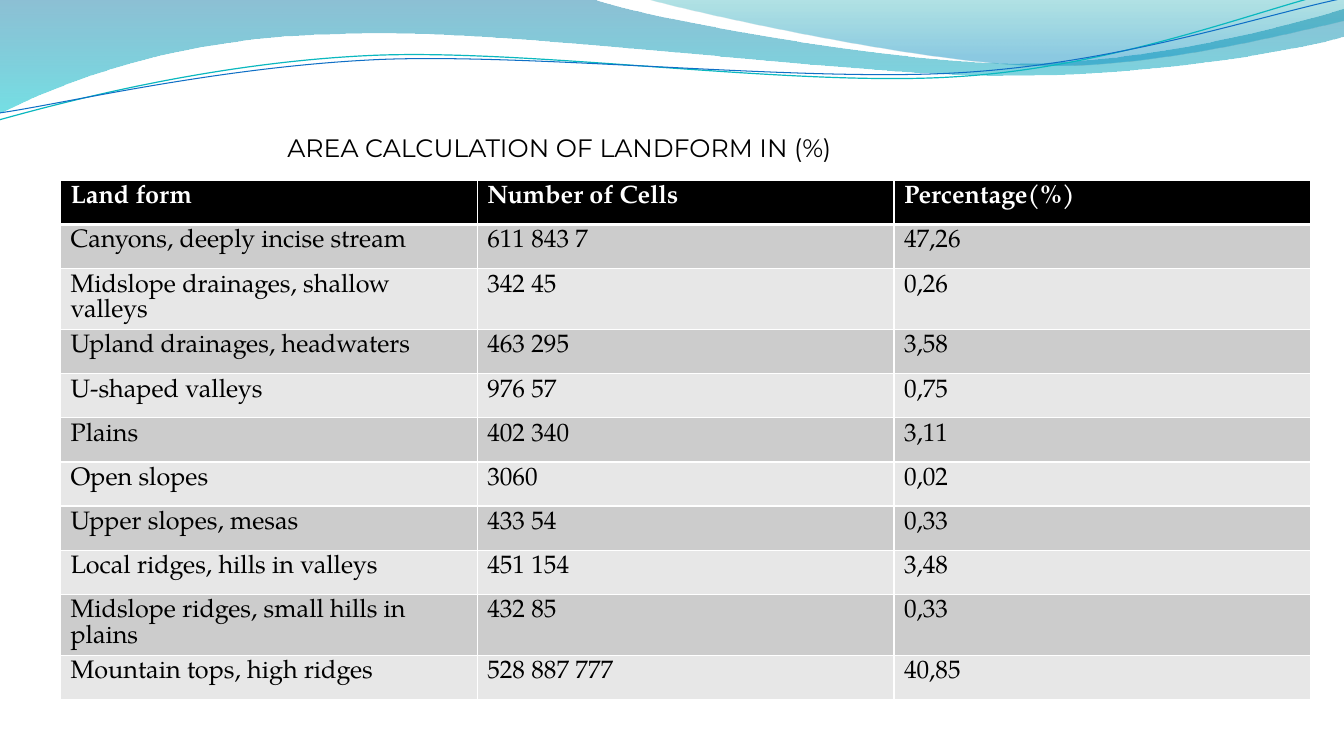
import math

import pptx
import pptx.util
import pptx.oxml
import pptx.oxml.ns
import pptx.dml.color
import pptx.enum.text

# Content
TITLE = "AREA CALCULATION OF LANDFORM IN (%)"
ROWS = [
    ("Land form", "Number of Cells", "Percentage(%)"),
    ("Canyons, deeply incise stream", "611 843 7", "47,26"),
    ("Midslope drainages, shallow valleys", "342 45", "0,26"),
    ("Upland drainages, headwaters", "463 295", "3,58"),
    ("U-shaped valleys", "976 57", "0,75"),
    ("Plains", "402 340", "3,11"),
    ("Open slopes", "3060", "0,02"),
    ("Upper slopes, mesas", "433 54", "0,33"),
    ("Local ridges, hills in valleys", "451 154", "3,48"),
    ("Midslope ridges, small hills in plains", "432 85", "0,33"),
    ("Mountain tops, high ridges", "528 887 777", "40,85"),
]
COLORS = {"black": "000000", "white": "FFFFFF", "odd": "CCCCCC", "even": "E7E7E7",
          "teal": "0AB8BF", "blue": "0F6FC6", "deep": "0074A1", "aqua": "00C6CF",
          "sea": "00A1A9", "sky": "008BBF"}
HEAD_FONT, BODY_FONT, SIZE = "Montserrat", "TeX Gyre Pagella", 18

# Waves: box, then steps of 2 numbers (straight) or 6 (Bezier curve), in inches
BANDS = [
    ((-0.01, -0.01, 13.36, 1.14),
     [(0, 0), (5.87, -0.01), (6.34, 0.17, 8.85, 0.63, 10.11, 0.63),
      (11.38, 0.63, 12.78, 0.26, 13.33, 0.09), (13.35, 0.36),
      (13.11, 0.44, 11.6, 0.76, 9.94, 0.75), (8.29, 0.75, 5.09, 0.28, 3.43, 0.34),
      (1.72, 0.36, 0.61, 0.83, -0.01, 1.13), (0, 0)],
     [(0, "deep", 45), (100, "aqua", 55)]),
    ((6.39, -0.01, 6.94, 0.7),
     [(6.39, -0.01), (6.79, 0.11, 9.09, 0.62, 10.25, 0.65),
      (11.41, 0.69, 12.82, 0.32, 13.33, 0.21), (13.33, 0), (6.39, -0.01)],
     [(0, "sea", 30), (80, "sky", 45)]),
]
STRANDS = [
    ((-0.03, 0.22, 13.36, 0.71),
     [(-0.01, 1.19), (0.64, 1.01, 2.11, 0.62, 3.69, 0.55),
      (5.27, 0.48, 7.9, 0.87, 9.5, 0.76), (11.1, 0.66, 12.52, 0.08, 13.31, -0.1)],
     "teal", 0.85),
    ((-0.02, 0.3, 13.38, 0.58),
     [(0, 1.12), (0.63, 1.03, 2.18, 0.66, 3.78, 0.59),
      (5.37, 0.53, 7.96, 0.82, 9.55, 0.72), (11.15, 0.62, 12.55, 0.14, 13.34, -0.02)],
     "blue", 0.75),
]
STRAND_TILT = -2.7

inch, pt = pptx.util.Inches, pptx.util.Pt
qn, parse_xml = pptx.oxml.ns.qn, pptx.oxml.parse_xml
NS = pptx.oxml.ns.nsdecls("a")


def rgb(name):
    return pptx.dml.color.RGBColor.from_string(COLORS[name])


def write(tf, text, font=BODY_FONT, size=SIZE, color="black", bold=False):
    p = tf.paragraphs[0]
    p.alignment = pptx.enum.text.PP_ALIGN.LEFT
    r = p.add_run()
    r.text = text
    r.font.name, r.font.size, r.font.bold = font, pt(size), bold
    r.font.color.rgb = rgb(color)


def wave(s, box, steps, closed, tilt=0):
    left, top, width, height = box
    mid_x, mid_y = left + width / 2, top + height / 2
    cos, sin = math.cos(math.radians(-tilt)), math.sin(math.radians(-tilt))

    def local(x, y):
        """Place a slide point inside the box before the box is tilted."""
        dx, dy = x - mid_x, y - mid_y
        return (inch(width / 2 + dx * cos - dy * sin),
                inch(height / 2 + dx * sin + dy * cos))

    builder = s.shapes.build_freeform(*local(*steps[0]))
    builder.add_line_segments([local(*step[-2:]) for step in steps[1:]], close=closed)
    sp = builder.convert_to_shape()
    sp.left, sp.top, sp.width, sp.height = map(inch, box)
    sp.rotation = tilt
    sp.shadow.inherit = False
    sp.fill.background()

    # Exact curves in the coordinates of the box
    drawn = ""
    for i, step in enumerate(steps):
        tag = "moveTo" if i == 0 else "lnTo" if len(step) == 2 else "cubicBezTo"
        pts = [local(*step[k:k + 2]) for k in range(0, len(step), 2)]
        drawn += f"<a:{tag}>" + "".join(f'<a:pt x="{x}" y="{y}"/>' for x, y in pts) + f"</a:{tag}>"
    drawn += "<a:close/>" if closed else ""
    outline = parse_xml(f'<a:pathLst {NS}><a:path w="{inch(width)}" h="{inch(height)}">'
                        f'{drawn}</a:path></a:pathLst>')
    geometry = sp.element.spPr.find(qn("a:custGeom"))
    geometry.replace(geometry.find(qn("a:pathLst")), outline)
    return sp


def fade(sp, stops):
    sp.line.fill.background()
    gs = "".join(f'<a:gs pos="{pos * 1000}"><a:srgbClr val="{COLORS[color]}">'
                 f'<a:alpha val="{alpha * 1000}"/></a:srgbClr></a:gs>'
                 for pos, color, alpha in stops)
    grad = parse_xml(f'<a:gradFill {NS} rotWithShape="1"><a:gsLst>{gs}</a:gsLst>'
                     '<a:lin ang="5400000" scaled="0"/></a:gradFill>')
    spPr = sp.element.spPr
    spPr.replace(spPr.find(qn("a:noFill")), grad)


def border(cell, side, width):
    cell._tc.get_or_add_tcPr().append(parse_xml(
        f'<a:ln{side} {NS} w="{pt(width)}"><a:solidFill>'
        f'<a:srgbClr val="{COLORS["white"]}"/></a:solidFill></a:ln{side}>'))


def main():
    prs = pptx.Presentation()
    prs.slide_width, prs.slide_height = inch(13.33), inch(7.5)
    s = prs.slides.add_slide(prs.slide_layouts[5])

    # Waves along the top
    for box, steps, stops in BANDS:
        fade(wave(s, box, steps, True), stops)
    for box, steps, color, width in STRANDS:
        sp = wave(s, box, steps, False, STRAND_TILT)
        sp.line.color.rgb, sp.line.width = rgb(color), pt(width)

    # Title
    title = s.shapes.title
    title.left, title.top, title.width, title.height = map(inch, (2.75, 1.26, 6.09, 0.4))
    tf = title.text_frame
    tf.word_wrap = True
    tf.auto_size = pptx.enum.text.MSO_AUTO_SIZE.NONE
    tf.vertical_anchor = pptx.enum.text.MSO_ANCHOR.TOP
    write(tf, TITLE, font=HEAD_FONT)

    # Table: equal rows, apart from one taller row
    height, tall_row, tall = 4.91, 2, 0.53
    row_height = (height - tall) / (len(ROWS) - 1)
    table = s.shapes.add_table(len(ROWS), len(ROWS[0]), inch(0.6), inch(1.79),
                               inch(12.4), inch(height)).table
    for i, row in enumerate(ROWS):
        table.rows[i].height = inch(tall if i == tall_row else row_height)
        head = i == 0
        fill = "black" if head else "odd" if i % 2 else "even"
        for j, text in enumerate(row):
            cell = table.cell(i, j)
            write(cell.text_frame, text, color="white" if head else "black", bold=head)
            for side in "LRTB":
                thick = (i, side) in ((0, "B"), (1, "T"))
                border(cell, side, 3 if thick else 1)
            cell.fill.solid()
            cell.fill.fore_color.rgb = rgb(fill)

    prs.save("out.pptx")


if __name__ == "__main__":
    main()
